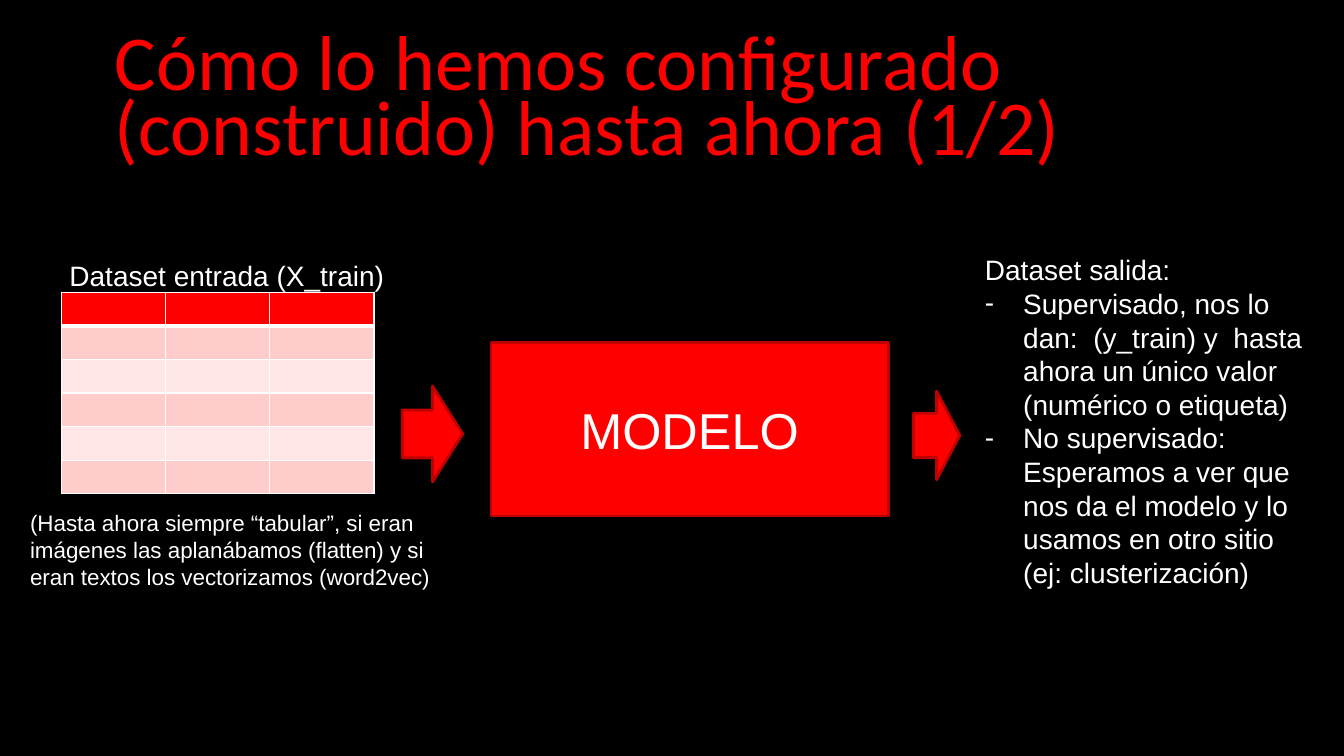
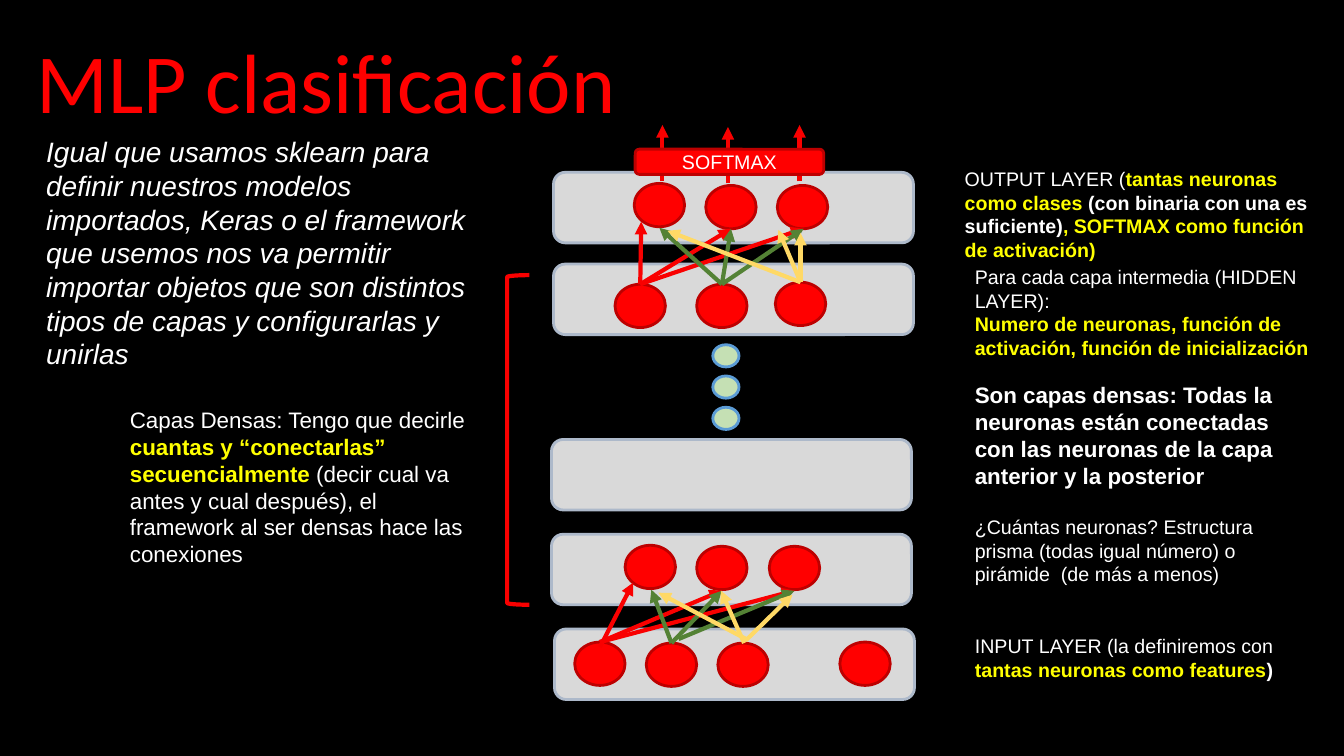
import dataclasses

import pptx
import pptx.dml.color
import pptx.enum.shapes
import pptx.enum.text
import pptx.oxml.ns
import pptx.util
from lxml import etree

Inches = pptx.util.Inches
Pt = pptx.util.Pt
Shapes = pptx.enum.shapes.MSO_SHAPE
Align = pptx.enum.text.PP_ALIGN
Anchor = pptx.enum.text.MSO_ANCHOR
AutoSize = pptx.enum.text.MSO_AUTO_SIZE
qn = pptx.oxml.ns.qn


def color(value):
    return pptx.dml.color.RGBColor.from_string(value)


def add_child(parent, tag, **attributes):
    return etree.SubElement(parent, qn(tag), **attributes)


@dataclasses.dataclass
class Span:
    text: str
    color: str = "FFFFFF"
    bold: bool = False
    italic: bool = False


@dataclasses.dataclass
class Para:
    spans: list
    size: float
    before: float = 0
    bullet: bool = False


class SlideBuilder:
    black, white, red, dark_red = "000000", "FFFFFF", "FF0000", "BD0000"
    yellow, line_red, green, gold = "FFFF00", "F90000", "548235", "FFD966"
    body_font, title_font = "Arial", "Calibri"

    def __init__(self):
        self.deck = pptx.Presentation()
        self.deck.slide_width = Inches(13.33)
        self.deck.slide_height = Inches(7.5)
        self.page = None

    def new_page(self, title, left, top, size, spacing):
        self.page = self.deck.slides.add_slide(self.deck.slide_layouts[5])
        background = self.page.background.fill
        background.solid()
        background.fore_color.rgb = color(self.black)
        box = self.page.shapes.title
        box.left, box.top = Inches(left), Inches(top)
        box.width, box.height = Inches(12.81), Inches(1.45)
        frame = box.text_frame
        frame.text = title
        frame.auto_size = AutoSize.NONE
        frame.vertical_anchor = Anchor.MIDDLE
        para = frame.paragraphs[0]
        para.alignment = Align.LEFT
        para.line_spacing = spacing
        self.style(para.runs[0], size, self.red, font=self.title_font)

    def style(self, run, size, text_color, bold=False, italic=False, font=body_font):
        run.font.name = font
        run.font.size = Pt(size)
        run.font.color.rgb = color(text_color)
        run.font.bold = bold
        run.font.italic = italic

    def text(self, left, top, width, height, paras):
        box = self.page.shapes.add_textbox(
            Inches(left), Inches(top), Inches(width), Inches(height))
        frame = box.text_frame
        frame.word_wrap = True
        frame.auto_size = AutoSize.SHAPE_TO_FIT_TEXT
        for index, item in enumerate(paras):
            para = frame.add_paragraph() if index else frame.paragraphs[0]
            if item.before:
                para.space_before = Pt(item.before)
            if item.bullet:
                self.bullet(para)
            for span in item.spans:
                run = para.add_run()
                run.text = span.text
                self.style(run, item.size, span.color, span.bold, span.italic)

    def bullet(self, para):
        properties = para._p.get_or_add_pPr()
        indent = Inches(0.38)
        properties.set("marL", str(indent))
        properties.set("indent", str(-indent))
        tint = add_child(properties, "a:buClr")
        add_child(tint, "a:srgbClr", val=self.white)
        add_child(properties, "a:buFont", typeface=self.body_font)
        add_child(properties, "a:buChar", char="-")

    def shape(self, kind, left, top, width, height, fill=red, line=dark_red,
              weight=2, label="", size=14):
        shape = self.page.shapes.add_shape(
            kind, Inches(left), Inches(top), Inches(width), Inches(height))
        shape.shadow.inherit = False
        if fill:
            shape.fill.solid()
            shape.fill.fore_color.rgb = color(fill)
        else:
            shape.fill.background()
        shape.line.color.rgb = color(line)
        shape.line.width = Pt(weight)
        if label:
            frame = shape.text_frame
            frame.text = label
            frame.vertical_anchor = Anchor.MIDDLE
            para = frame.paragraphs[0]
            para.alignment = Align.CENTER
            self.style(para.runs[0], size, self.white)

    def layer(self, left, top):
        self.shape(Shapes.ROUNDED_RECTANGLE, left, top, 3.57, 0.7, "D9D9D9", "ADB9CA")

    def neurons(self, centers):
        for left, top in centers:
            self.shape(Shapes.OVAL, left, top, 0.5, 0.43)

    def arrows(self, line_color, routes):
        for route in routes:
            arrow = self.page.shapes.add_connector(
                pptx.enum.shapes.MSO_CONNECTOR.STRAIGHT, *map(Inches, route))
            arrow.line.color.rgb = color(line_color)
            arrow.line.width = Pt(3)
            add_child(arrow.line._get_or_add_ln(), "a:tailEnd", type="triangle")
            add_child(arrow._element.spPr, "a:effectLst")

    def table(self, left, top, width, height, rows, columns):
        grid = self.page.shapes.add_table(
            rows, columns, Inches(left), Inches(top), Inches(width), Inches(height)).table
        for index in range(rows):
            fill = self.red if index == 0 else ("FFE7E7", "FFCCCC")[index % 2]
            weights = {"L": 1, "R": 1, "T": 3 if index == 1 else 1,
                       "B": 3 if index == 0 else 1}
            for cell in grid.rows[index].cells:
                cell.margin_top = cell.margin_bottom = 0
                for side, weight in weights.items():
                    self.border(cell, side, weight)
                cell.fill.solid()
                cell.fill.fore_color.rgb = color(fill)

    def border(self, cell, side, weight):
        edge = add_child(cell._tc.get_or_add_tcPr(), "a:ln" + side, w=str(Pt(weight)))
        fill = add_child(edge, "a:solidFill")
        add_child(fill, "a:srgbClr", val=self.white)


def build_configuration(show):
    show.new_page("Cómo lo hemos configurado (construido) hasta ahora (1/2)",
                  1.04, 0.3, 55.5, 0.7)
    show.shape(Shapes.RECTANGLE, 4.87, 3.4, 3.94, 1.72, label="MODELO", size=36)
    show.text(0.2, 5, 4.43, 0.91, [Para([Span(
        "(Hasta ahora siempre “tabular”, si eran imágenes las aplanábamos (flatten) "
        "y si eran textos los vectorizamos (word2vec)")], 16)])
    show.table(0.61, 2.9, 3.1, 2, 6, 3)
    show.shape(Shapes.RIGHT_ARROW, 3.99, 3.83, 0.6, 0.95)
    show.text(9.67, 2.46, 3.52, 3.47, [
        Para([Span("Dataset salida:")], 20),
        Para([Span("Supervisado, nos lo dan:  (y_train) y  hasta ahora un único valor "
                   "(numérico o etiqueta)")], 20, bullet=True),
        Para([Span("No supervisado: Esperamos a ver que nos da el modelo y lo usamos "
                   "en otro sitio (ej: clusterización)")], 20, bullet=True)])
    show.text(0.59, 2.52, 5.31, 0.44, [Para([Span("Dataset entrada (X_train)")], 20)])
    show.shape(Shapes.RIGHT_ARROW, 9.06, 3.88, 0.46, 0.88)


def write_network_notes(show):
    yellow = show.yellow
    show.text(9.57, 6.24, 3.21, 0.57, [Para([
        Span("INPUT LAYER (la definiremos con "),
        Span("tantas neuronas como features", yellow, True),
        Span(")", bold=True)], 14)])
    show.text(0.36, 1.29, 4.56, 2.46, [Para([Span(
        "Igual que usamos sklearn para definir nuestros modelos importados, Keras o el "
        "framework que usemos nos va permitir importar objetos que son distintos tipos "
        "de capas y configurarlas y unirlas", italic=True)], 20)])
    show.text(9.57, 2.58, 3.57, 3.33, [
        Para([Span("Para cada capa intermedia (HIDDEN LAYER):")], 14),
        Para([Span("Numero de neuronas, función de activación, función de inicialización",
                   yellow, True)], 14),
        Para([Span("Son capas densas: Todas la neuronas están conectadas con las neuronas "
                   "de la capa anterior y la posterior", bold=True)], 16, before=16),
        Para([Span("¿Cuántas neuronas? Estructura prisma (todas igual número) o "
                   "pirámide  (de más a menos)")], 14, before=18.5)])
    show.text(1.19, 3.98, 3.57, 1.72, [Para([
        Span("Capas Densas: Tengo que decirle "),
        Span("cuantas y “conectarlas” secuencialmente ", yellow, True),
        Span("(decir cual va antes y cual después), el framework al ser densas "
             "hace las conexiones")], 16)])
    show.text(9.47, 1.61, 3.76, 1.04, [Para([
        Span("OUTPUT LAYER ("),
        Span("tantas neuronas como clases ", yellow, True),
        Span("(con binaria con una es suficiente)", bold=True),
        Span(", SOFTMAX como función de activación)", yellow, True)], 14)])


def draw_network(show):
    show.shape(Shapes.LEFT_BRACKET, 5.03, 2.73, 0.22, 3.27, None, show.line_red, 3)
    for left, top in [(5.5, 6.24), (5.47, 5.3), (5.47, 4.36), (5.49, 2.62), (5.49, 1.71)]:
        show.layer(left, top)
    show.neurons([(5.7, 6.37), (6.41, 6.38), (7.12, 6.38), (8.33, 6.37),
                  (6.2, 5.41), (6.91, 5.42), (7.63, 5.42)])
    for step in range(3):
        show.shape(Shapes.OVAL, 7.07, 3.42 + 0.31 * step, 0.26, 0.22, "C5E0B4", "5B9BD5")

    show.arrows(show.line_red, [(5.95, 6.42, 6.28, 5.78), (5.95, 6.37, 7.16, 5.86),
                                (5.95, 6.37, 7.88, 5.86)])
    show.arrows(show.green, [(6.66, 6.38, 6.46, 5.85), (6.66, 6.38, 7.16, 5.86),
                             (6.73, 6.34, 7.88, 5.86)])
    show.arrows(show.gold, [(7.38, 6.38, 7.15, 5.86), (7.4, 6.35, 7.86, 5.9),
                            (7.42, 6.35, 6.53, 5.88)])
    show.arrows(show.line_red, [(x, y, x, y - 0.56)
                                for x, y in [(6.57, 1.8), (7.22, 1.82), (7.93, 1.8)]])

    show.shape(Shapes.ROUNDED_RECTANGLE, 6.3, 1.48, 1.87, 0.25, label="SOFTMAX")
    show.neurons([(6.1, 2.82), (6.91, 2.82), (7.69, 2.8),
                  (6.29, 1.82), (7, 1.84), (7.71, 1.84)])
    fans = [
        (show.line_red, (6.35, 2.82), [(6.36, 2.2), (7.25, 2.27), (7.97, 2.27)]),
        (show.green, (7.16, 2.82), [(6.54, 2.26), (7.25, 2.27), (7.97, 2.27)]),
        (show.gold, (7.94, 2.8), [(7.72, 2.28), (7.94, 2.31), (6.62, 2.29)])]
    for line_color, start, ends in fans:
        show.arrows(line_color, [start + end for end in ends])


def main():
    show = SlideBuilder()
    build_configuration(show)
    show.new_page("MLP clasificación", 0.26, 0.13, 60, 0.9)
    write_network_notes(show)
    draw_network(show)
    show.deck.save("out.pptx")


if __name__ == "__main__":
    main()
